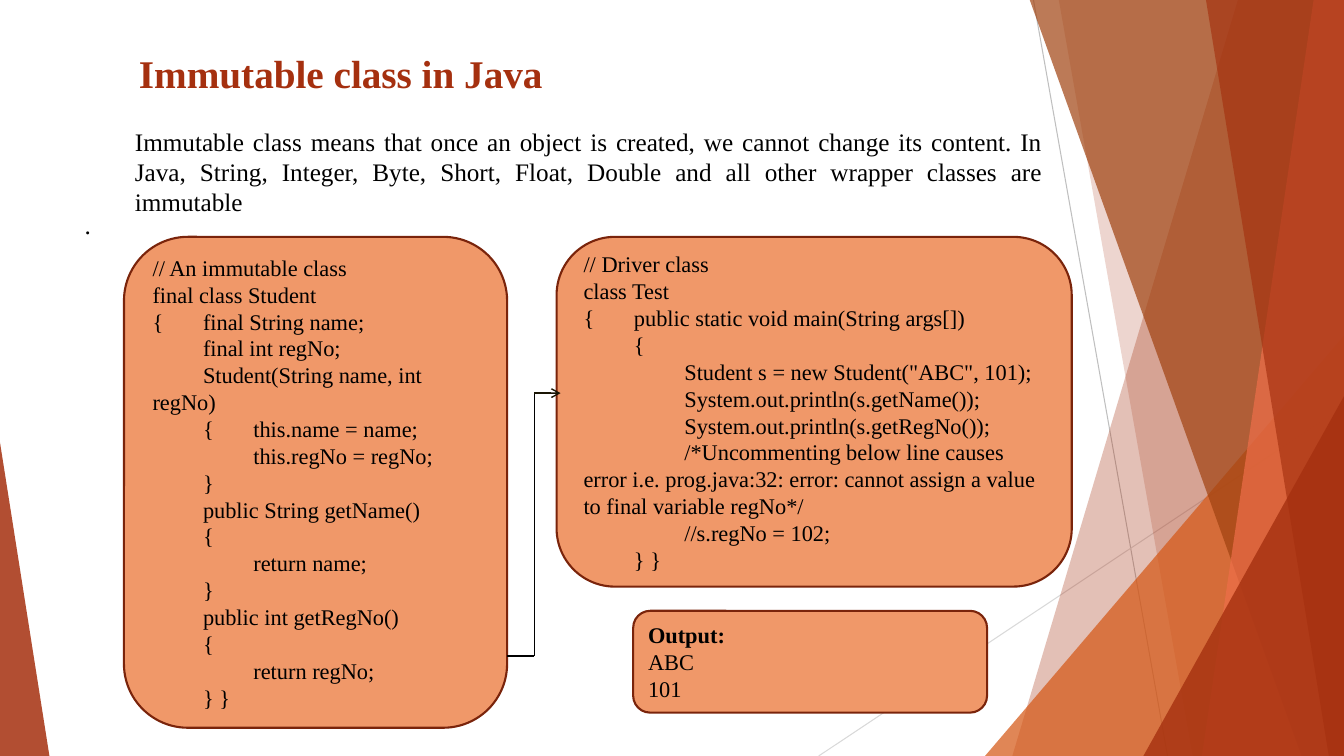
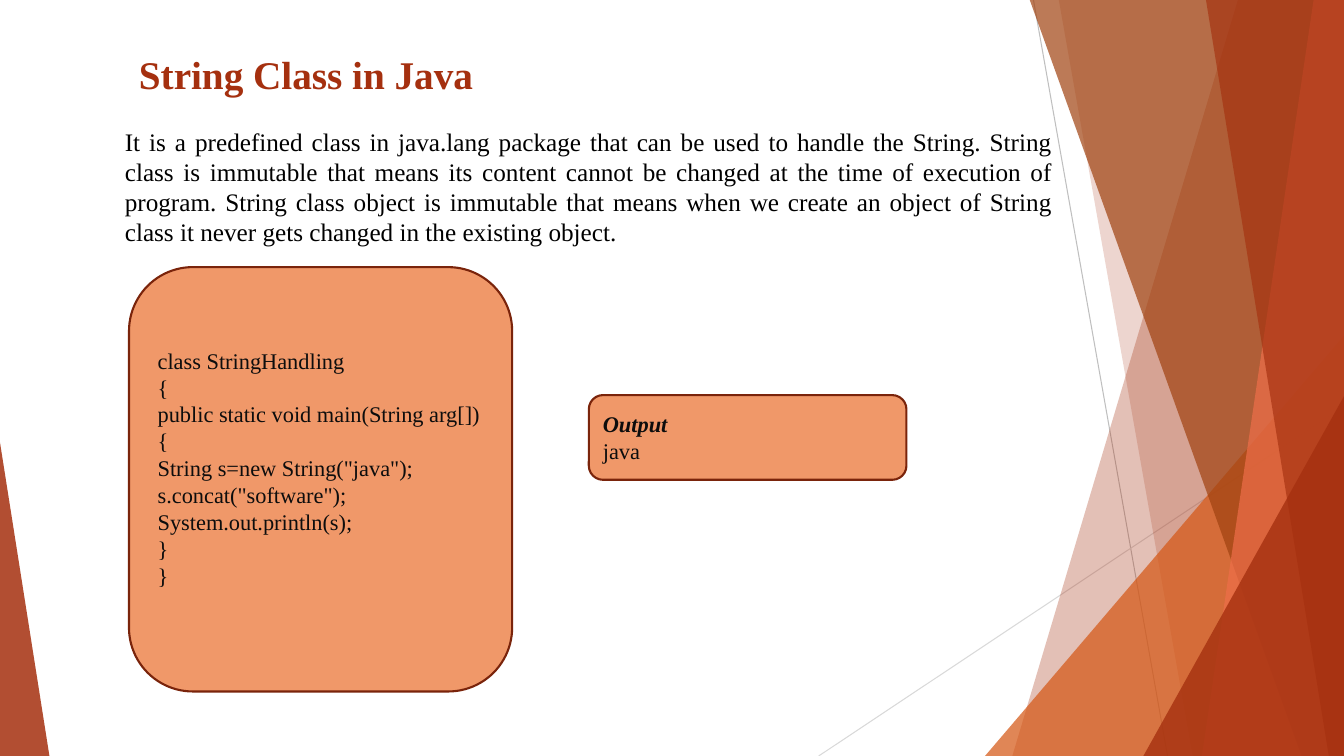
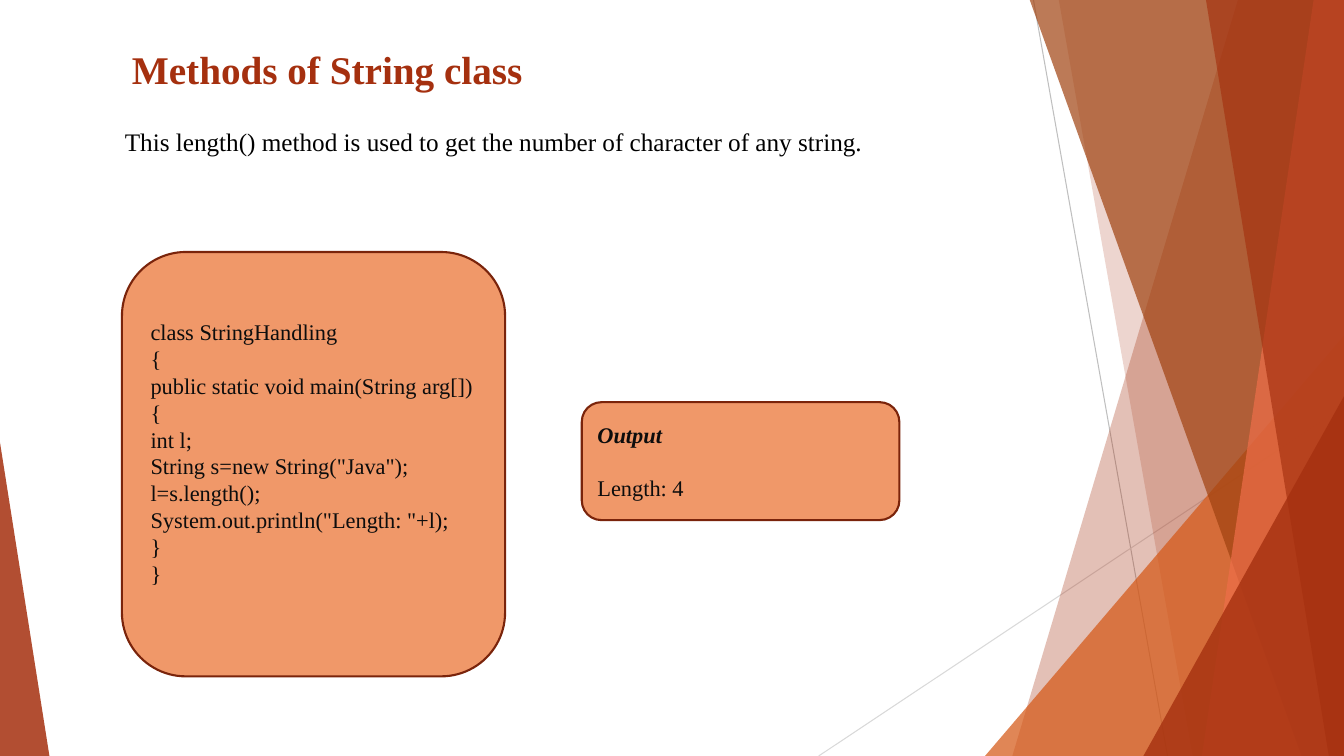
from dataclasses import dataclass

from lxml.etree import SubElement
from pptx import Presentation
from pptx.dml.color import RGBColor
from pptx.enum.shapes import MSO_CONNECTOR as Connector, MSO_SHAPE as Shape
from pptx.enum.text import MSO_ANCHOR as Anchor, PP_ALIGN as Align
from pptx.oxml.ns import qn
from pptx.util import Inches, Pt


@dataclass(frozen=True)
class Theme:
    font: str = "Times New Roman"
    title_size: int = 28
    body_size: int = 18
    code_size: int = 16
    red: str = "A5300F"
    orange: str = "D55816"
    brown: str = "A04210"
    coral: str = "EE6E4A"
    panel: str = "F09869"
    panel_edge: str = "7A240B"
    black: str = "000000"
    ink: str = "0D0D0D"
    arrow: str = "1A1504"
    pale_line: str = "D9D9D9"
    grey_line: str = "BFBFBF"


THEME = Theme()
WIDTH, HEIGHT = 13.33, 7.5
TAB_STEP = 0.5
BELOW_CODE = 0.28  # bottom inset that lifts the short listings


# Basic elements
def paint(shape, color, opacity=100):
    shape.shadow.inherit = False
    shape.fill.solid()
    shape.fill.fore_color.rgb = RGBColor.from_string(color)
    if opacity < 100:
        rgb = shape.fill._xPr.find(f".//{qn('a:srgbClr')}")
        SubElement(rgb, qn("a:alpha"), val=str(opacity * 1000))
    shape.line.fill.background()


def add_line(shapes, start, end, color, width, arrow=False):
    line = shapes.add_connector(Connector.STRAIGHT, *map(Inches, start + end))
    line.line.color.rgb = RGBColor.from_string(color)
    line.line.width = Pt(width)
    if arrow:
        SubElement(line.line._get_or_add_ln(), qn("a:tailEnd"), type="arrow")
    SubElement(line._element.spPr, qn("a:effectLst"))


def write(frame, lines, size, color, align=Align.LEFT, anchor=Anchor.TOP,
          bold_first=False, italic_first=False, gap=0):
    """Fill a frame; the first line may be styled as a heading."""
    frame.word_wrap = True
    frame.vertical_anchor = anchor
    for index, line in enumerate(lines):
        paragraph = frame.paragraphs[0] if index == 0 else frame.add_paragraph()
        paragraph.text = line
        paragraph.alignment = align
        if index == 1 and gap:
            paragraph.space_before = Pt(gap)
        if "\t" in line:
            stops = SubElement(paragraph._p.get_or_add_pPr(), qn("a:tabLst"))
            for step in (1, 2):
                SubElement(stops, qn("a:tab"), pos=str(Inches(step * TAB_STEP)), algn="l")
        font = paragraph.font
        font.name, font.size = THEME.font, Pt(size)
        font.color.rgb = RGBColor.from_string(color)
        font.bold = bold_first and index == 0
        font.italic = italic_first and index == 0


# Shared backdrop
def add_band(shapes, top_x, bottom_x, color, opacity):
    """Slanted band that reaches the right edge of the slide."""
    corners = [(top_x, -0.01), (WIDTH, -0.01), (WIDTH, HEIGHT), (bottom_x, HEIGHT)]
    points = [(Inches(x), Inches(y)) for x, y in corners]
    builder = shapes.build_freeform(*points[0])
    builder.add_line_segments(points[1:], close=True)
    paint(builder.convert_to_shape(), color, opacity)


def add_wedge(shapes, left, top, width, apex, color, opacity):
    """Triangle that stands on the bottom edge of the slide."""
    wedge = shapes.add_shape(Shape.ISOSCELES_TRIANGLE, Inches(left), Inches(top),
                             Inches(width), Inches(HEIGHT - top))
    wedge.adjustments[0] = apex
    paint(wedge, color, opacity)


def add_backdrop(slide):
    shapes = slide.shapes.add_group_shape().shapes
    add_line(shapes, (10.25, 0), (11.58, HEIGHT), THEME.grey_line, 0.75)
    add_line(shapes, (WIDTH, 4.03), (8.12, HEIGHT), THEME.pale_line, 0.75)
    add_band(shapes, 12.28, 10.04, THEME.red, 30)
    add_band(shapes, 10.5, 11.83, THEME.red, 20)
    add_wedge(shapes, 9.77, 3.33, 3.56, 1, THEME.orange, 72)
    add_band(shapes, 10.21, 12.91, THEME.brown, 70)
    add_band(shapes, 13.03, 11.92, THEME.coral, 70)
    add_band(shapes, 11.96, 13.18, THEME.red, 65)
    add_wedge(shapes, 11.34, 3.93, 1.99, 1, THEME.red, 80)
    add_wedge(shapes, 0, 4.39, 0.49, 0, THEME.red, 85)


# Slide parts
def add_text(slide, box, text, size, color, **style):
    label = slide.shapes.add_textbox(*map(Inches, box))
    write(label.text_frame, [text], size, color, **style)


def add_title(slide, box, text):
    add_text(slide, box, text, THEME.title_size, THEME.red, bold_first=True)


def add_body(slide, box, text, align=Align.JUSTIFY):
    add_text(slide, box, text, THEME.body_size, THEME.black, align=align)


def add_panel(slide, box, lines, color=THEME.ink, below=0.05, **style):
    panel = slide.shapes.add_shape(Shape.ROUNDED_RECTANGLE, *map(Inches, box))
    paint(panel, THEME.panel)
    panel.line.color.rgb = RGBColor.from_string(THEME.panel_edge)
    panel.line.width = Pt(1.5)
    panel.text_frame.margin_bottom = Inches(below)
    write(panel.text_frame, lines, THEME.code_size, color, anchor=Anchor.MIDDLE, **style)


def start_slide(deck):
    slide = deck.slides.add_slide(deck.slide_layouts[6])
    add_backdrop(slide)
    return slide


# Slides
STUDENT_CODE = """// An immutable class
final class Student
{ \tfinal String name;
\tfinal int regNo;
\tStudent(String name, int regNo)
\t{ \tthis.name = name;
\t\tthis.regNo = regNo;
\t}
\tpublic String getName()
\t{
\t\treturn name;
\t}
\tpublic int getRegNo()
\t{
\t\treturn regNo;
\t} }"""

DRIVER_CODE = """// Driver class
class Test
{ \tpublic static void main(String args[])
\t{
\t\tStudent s = new Student("ABC", 101);
\t\tSystem.out.println(s.getName());
\t\tSystem.out.println(s.getRegNo());
\t\t/*Uncommenting below line causes error i.e. prog.java:32: error: \
cannot assign a value to final variable regNo*/
\t\t//s.regNo = 102;
\t} }"""

CONCAT_CODE = """class StringHandling
{
public static void main(String arg[])
{
String s=new String("java");
s.concat("software");
System.out.println(s);
}
}"""

LENGTH_CODE = """class StringHandling
{
public static void main(String arg[])
{
int l;
String s=new String("Java");
l=s.length();
System.out.println("Length: "+l);
}
}"""


def add_immutable_slide(deck):
    slide = start_slide(deck)
    add_title(slide, (1.28, 0.44, 9.09, 1.21), "Immutable class in Java")
    add_body(slide, (0.74, 2.03, 9.62, 0.4), ".")
    add_panel(slide, (1.23, 2.35, 3.8, 4.87), STUDENT_CODE.split("\n"), THEME.black)
    add_body(slide, (1.24, 1.2, 9.2, 1.01),
             "Immutable class means that once an object is created, we cannot change "
             "its content. In Java, String, Integer, Byte, Short, Float, Double and "
             "all other wrapper classes are immutable")
    add_panel(slide, (5.52, 2.35, 5.11, 3.47), DRIVER_CODE.split("\n"), THEME.black)

    # Stepped arrow from the class to its driver
    route = [(5.03, 6.51), (5.3, 6.51), (5.3, 3.9), (5.56, 3.9)]
    for start, end in zip(route, route[1:]):
        last = end == route[-1]
        add_line(slide.shapes, start, end, THEME.arrow if last else THEME.black, 1, last)

    add_panel(slide, (6.28, 6.06, 3.51, 1.01), ["Output:", "ABC", "101"],
              THEME.black, bold_first=True)


def add_string_slide(deck):
    slide = start_slide(deck)
    add_title(slide, (1.28, 0.45, 7.42, 0.57), "String Class in Java")
    add_body(slide, (1.14, 1.2, 9.4, 1.32),
             "It is a predefined class in java.lang package that can be used to handle "
             "the String. String class is immutable that means its content cannot be "
             "changed at the time of execution of program. String class object is "
             "immutable that means when we create an object of String class it never "
             "gets changed in the existing object.")
    add_panel(slide, (1.28, 2.65, 3.8, 4.21), CONCAT_CODE.split("\n"), below=BELOW_CODE)
    add_panel(slide, (5.84, 3.92, 3.15, 0.84), ["Output", "java"],
              bold_first=True, italic_first=True)


def add_methods_slide(deck):
    slide = start_slide(deck)
    add_title(slide, (1.21, 0.4, 7.42, 0.5), "Methods of String class")
    add_body(slide, (1.14, 1.2, 9.4, 0.41),
             "This length() method is used to get the number of character of any string.",
             Align.LEFT)
    add_panel(slide, (1.21, 2.5, 3.8, 4.21), LENGTH_CODE.split("\n"), below=BELOW_CODE)
    add_panel(slide, (5.77, 3.99, 3.15, 1.17), ["Output", "Length: 4"],
              bold_first=True, italic_first=True, gap=19)


def main():
    deck = Presentation()
    deck.slide_width, deck.slide_height = Inches(WIDTH), Inches(HEIGHT)
    add_immutable_slide(deck)
    add_string_slide(deck)
    add_methods_slide(deck)
    deck.save("out.pptx")


if __name__ == "__main__":
    main()
